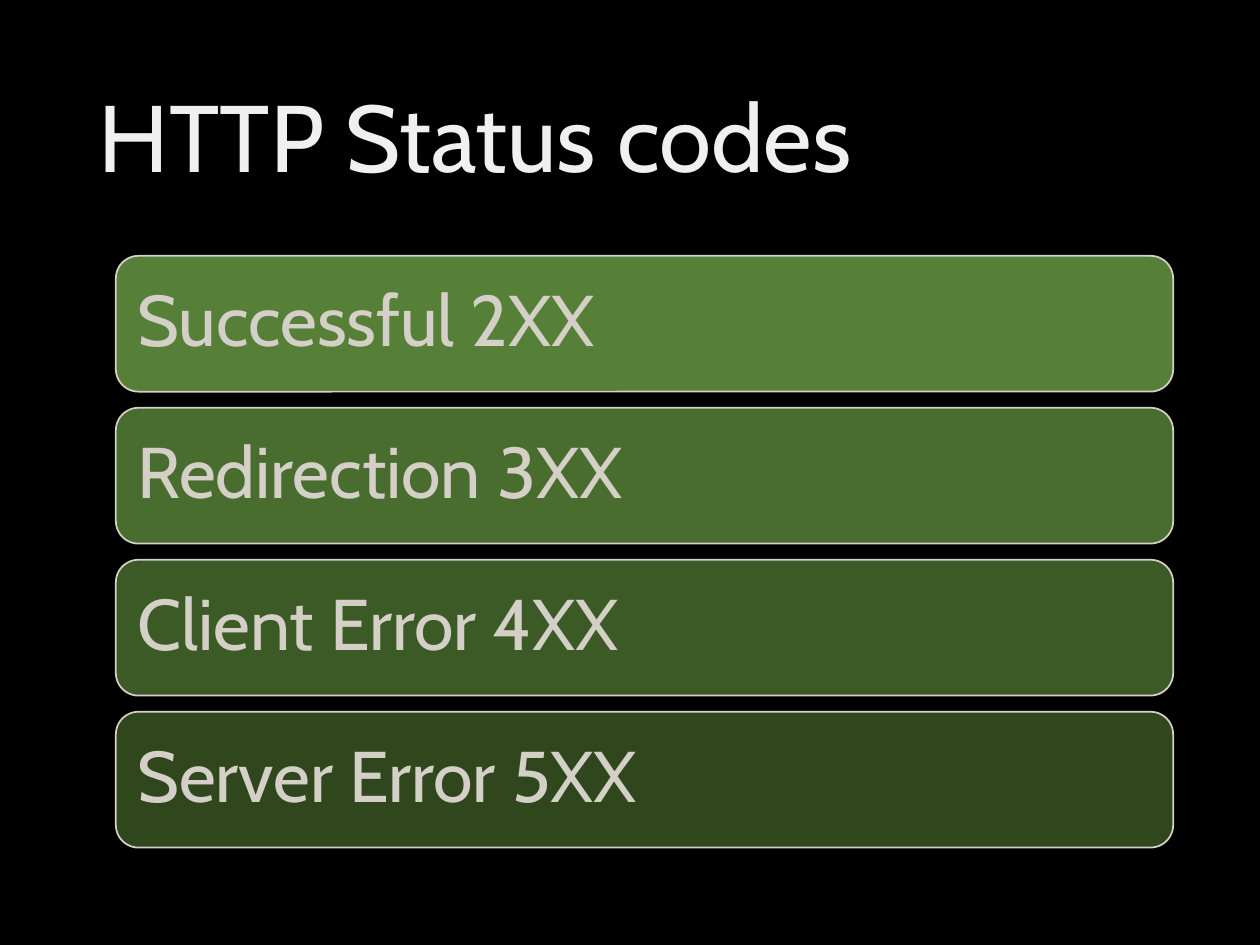
"""Build a slide listing the HTTP status code classes."""
import dataclasses

import lxml.etree
import pptx
import pptx.dml.color
import pptx.enum.shapes
import pptx.enum.text
import pptx.oxml.ns
import pptx.util

Pt = pptx.util.Pt


@dataclasses.dataclass(frozen=True)
class Theme:
    font: str = "Cabin"
    back: str = "000000"
    title: str = "F0F0F0"
    bar: str = "608F3D"
    pale: str = "D4D0C8"
    head: int = 54
    body: int = 41


class Deck:
    def __init__(self, theme):
        self.theme = theme
        self.show = pptx.Presentation()
        self.show.slide_width, self.show.slide_height = Pt(720), Pt(540)
        self.slide = self.show.slides.add_slide(self.show.slide_layouts[6])
        self.paint(self.slide.background.fill, theme.back)

    def paint(self, fill, color):
        fill.solid()
        fill.fore_color.rgb = pptx.dml.color.RGBColor.from_string(color)

    def label(self, shape, text, size, color):
        frame = shape.text_frame
        frame.text = text
        frame.word_wrap = True
        frame.vertical_anchor = pptx.enum.text.MSO_ANCHOR.MIDDLE
        line = frame.paragraphs[0]
        line.alignment = pptx.enum.text.PP_ALIGN.LEFT
        line.line_spacing = 0.9
        font = line.runs[0].font
        font.name, font.size = self.theme.font, Pt(size)
        self.paint(font.fill, color)

    def title(self, text, *box):
        shape = self.slide.shapes.add_textbox(*map(Pt, box))
        self.label(shape, text, self.theme.head, self.theme.title)

    def bar(self, text, alpha, *box):
        kind = pptx.enum.shapes.MSO_SHAPE.ROUNDED_RECTANGLE
        shape = self.slide.shapes.add_shape(kind, *map(Pt, box))
        shape.shadow.inherit = False
        self.paint(shape.fill, self.theme.bar)
        tint = shape.element.spPr.find(".//" + pptx.oxml.ns.qn("a:srgbClr"))
        lxml.etree.SubElement(tint, pptx.oxml.ns.qn("a:alpha"), val=str(round(alpha * 1000)))
        self.paint(shape.line.fill, self.theme.pale)
        shape.line.width = Pt(1)
        self.label(shape, text, self.theme.body, self.theme.pale)
        shape.text_frame.margin_left = shape.text_frame.margin_right = Pt(8.4)


def main():
    deck = Deck(Theme())
    deck.title("HTTP Status codes", 49.5, 28.8, 621, 104.4)
    names = ("Successful 2XX", "Redirection 3XX", "Client Error 4XX", "Server Error 5XX")
    top, step = 146.2, 86.85
    for row, name in enumerate(names):
        alpha = 90 - row * 40 / (len(names) - 1)
        deck.bar(name, alpha, 66.2, top + row * step, 604.2, 77.6)
    deck.show.save("out.pptx")


if __name__ == "__main__":
    main()
